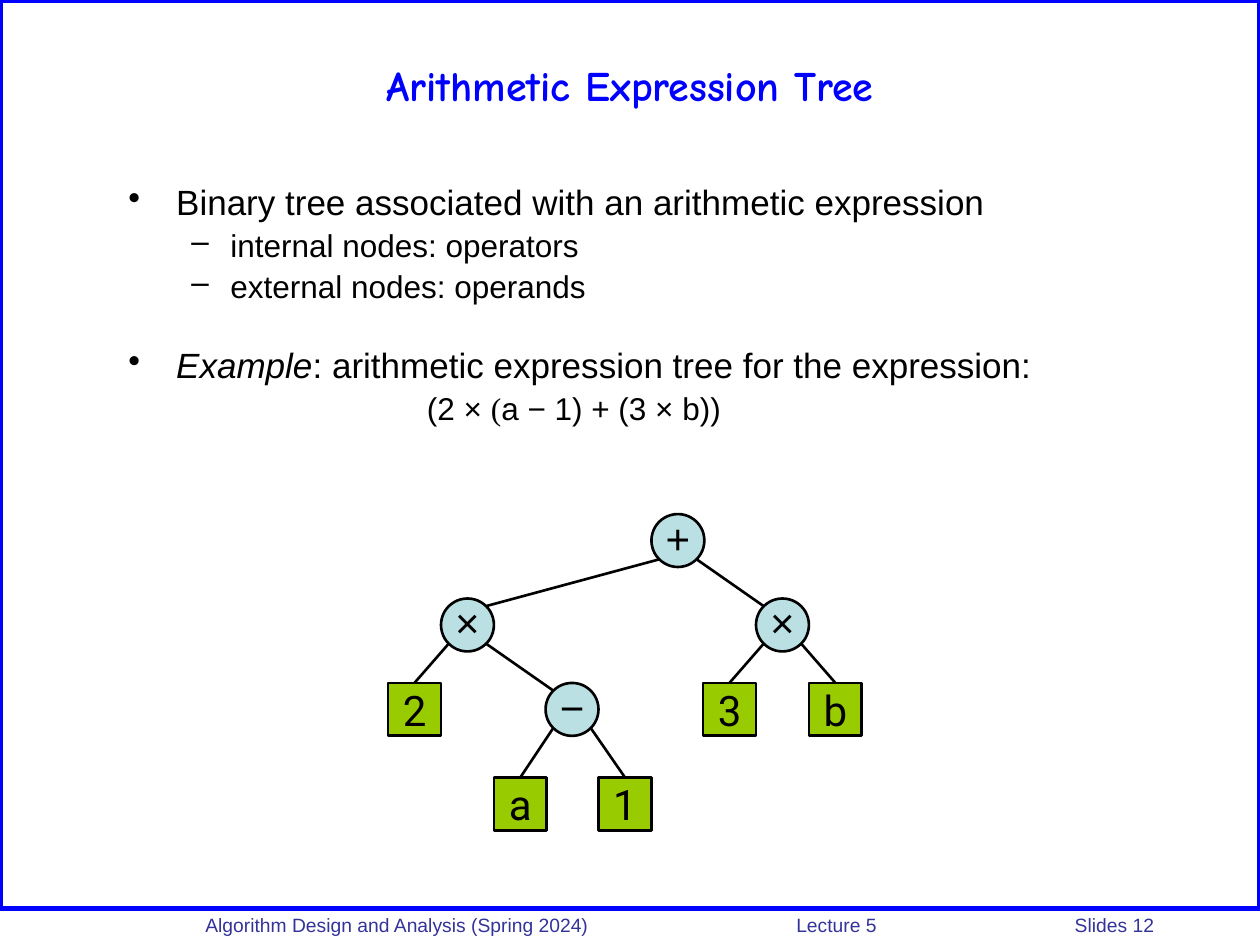
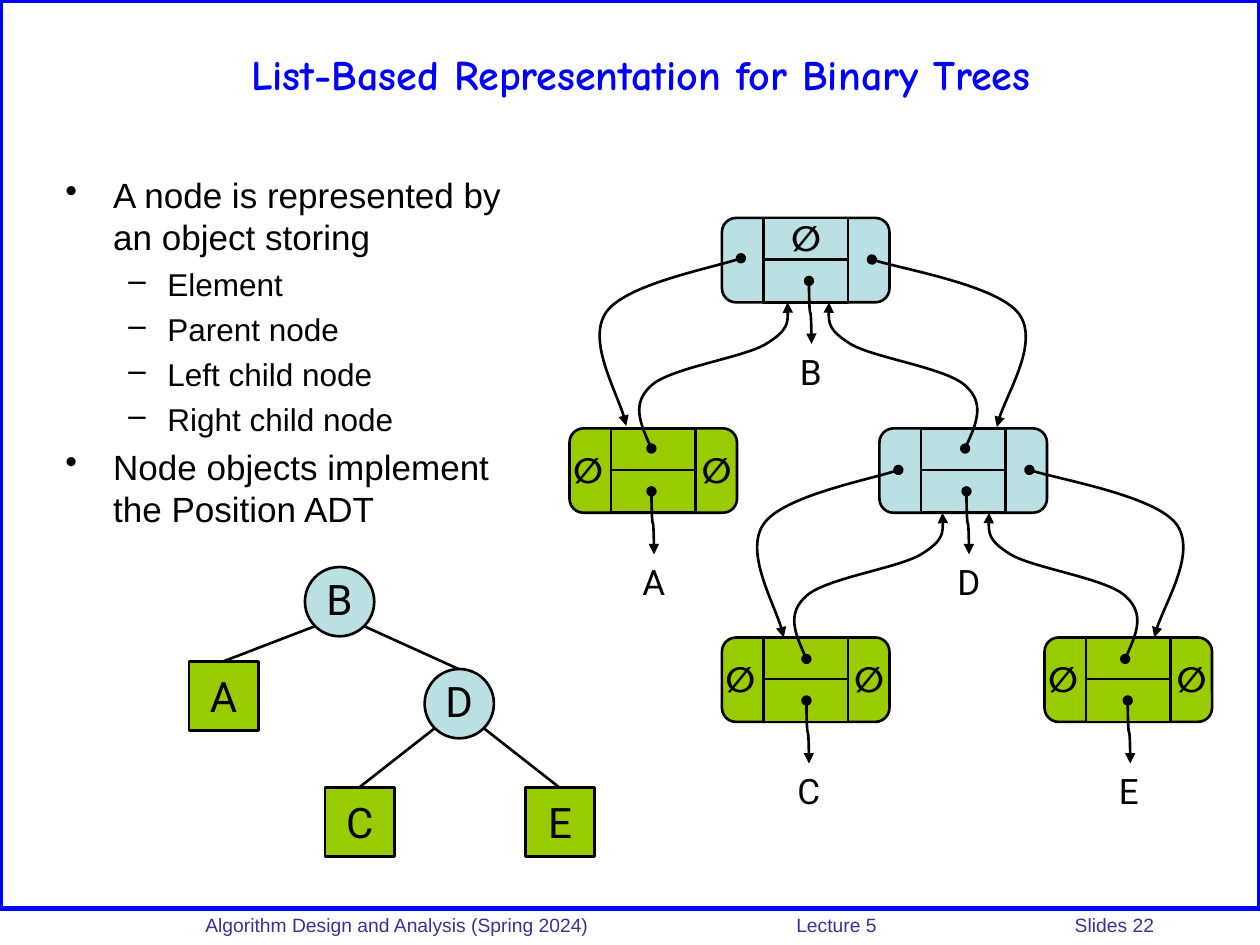
from pptx import Presentation
from pptx.dml.color import RGBColor
from pptx.enum.shapes import MSO_CONNECTOR, MSO_SHAPE
from pptx.enum.text import MSO_ANCHOR, PP_ALIGN
from pptx.oxml.ns import qn
from pptx.util import Pt
from lxml import etree

PX = 9144
BLUE = RGBColor(0x00, 0x00, 0xFF)
INDIGO = RGBColor(0x33, 0x33, 0x99)
BLACK = RGBColor(0x00, 0x00, 0x00)
AQUA = RGBColor(0xBB, 0xE0, 0xE3)
GREEN = RGBColor(0x99, 0xCC, 0x00)

ARIAL, COMIC, ROBOTO, TIMES = "Arial", "Comic Neue", "Roboto", "Times New Roman"
RECT, ROUND, OVAL = MSO_SHAPE.RECTANGLE, MSO_SHAPE.ROUNDED_RECTANGLE, MSO_SHAPE.OVAL
STRAIGHT, CURVE = MSO_CONNECTOR.STRAIGHT, MSO_CONNECTOR.CURVE
CENTER, LEFT = PP_ALIGN.CENTER, PP_ALIGN.LEFT
MIDDLE, TOP = MSO_ANCHOR.MIDDLE, MSO_ANCHOR.TOP

BULLETS = {0: ("•", 20, 38, -38), 1: ("–", 18, 81, -31)}
NODE_WIDTH, NODE_HEIGHT, CELL = 133, 67, 33
PARENT_LINK = [(0, 0), (-8, -18), (-16, -36), (0, -50), (15, -64), (73, -72),
               (91, -83), (109, -94), (109, -105), (108, -116)]
CHILD_LINK = [(0, 0), (19, 7), (92, 21), (107, 43), (122, 65), (94, 114), (91, 133)]


class Lecture:
    def __init__(self):
        self.deck = Presentation()
        self.deck.slide_width, self.deck.slide_height = 1000 * PX, 750 * PX
        self.shapes = None

    def page(self, title, number, title_box):
        self.shapes = self.deck.slides.add_slide(self.deck.slide_layouts[6]).shapes
        self.shape(RECT, 0, 0, 1000, 721, None, BLUE, 3)
        footer = f"Algorithm Design and Analysis (Spring 2024)\tLecture 5\tSlides {number}"
        frame = self.text(footer, 133, 720, 867, 26, 11, ARIAL, INDIGO, align=LEFT)
        frame.margin_left = 30 * PX
        tabs = etree.SubElement(frame.paragraphs[0]._p.get_or_add_pPr(), qn("a:tabLst"))
        for stop in (469, 690):
            etree.SubElement(tabs, qn("a:tab"), pos=str(stop * PX), algn="l")
        frame.word_wrap = True
        frame = self.text(title, *title_box, 24, COMIC, BLUE, bold=True, anchor=MIDDLE)
        frame.word_wrap = True

    def style(self, span, size, font, color=BLACK, bold=False, italic=False):
        span.font.size, span.font.name = Pt(size), font
        span.font.bold, span.font.italic = bold, italic
        span.font.color.rgb = color

    def fill_frame(self, frame, text, size, font, color=BLACK, bold=False,
                   align=CENTER, anchor=TOP):
        frame.text = text
        frame.word_wrap = False
        frame.vertical_anchor = anchor
        para = frame.paragraphs[0]
        para.alignment = align
        self.style(para.runs[0], size, font, color, bold)

    def text(self, text, x, y, width, height, size, font, color=BLACK, **options):
        box = self.shapes.add_textbox(x * PX, y * PX, width * PX, height * PX)
        self.fill_frame(box.text_frame, text, size, font, color, **options)
        return box.text_frame

    def bullets(self, x, y, width, height, items, line_spacing=1.0):
        frame = self.shapes.add_textbox(x * PX, y * PX, width * PX, height * PX).text_frame
        frame.word_wrap = True
        for index, (level, text) in enumerate(items):
            para = frame.add_paragraph() if index else frame.paragraphs[0]
            mark, size, margin, indent = BULLETS[level]
            properties = para._p.get_or_add_pPr()
            properties.set("marL", str(margin * PX))
            properties.set("indent", str(indent * PX))
            etree.SubElement(properties, qn("a:buChar"), char=mark)
            para.line_spacing = line_spacing
            para.space_before = Pt(round(0.23 * size, 1) if index else 0)
            para.text = text
            self.style(para.runs[0], size, ARIAL)
        return frame

    def shape(self, kind, x, y, width, height, fill, line=BLACK, weight=1.5):
        shape = self.shapes.add_shape(kind, x * PX, y * PX, width * PX, height * PX)
        shape.shadow.inherit = False
        if fill is None:
            shape.fill.background()
        else:
            shape.fill.solid()
            shape.fill.fore_color.rgb = fill
        shape.line.color.rgb, shape.line.width = line, Pt(weight)
        return shape

    def connector(self, kind, x1, y1, x2, y2):
        line = self.shapes.add_connector(kind, x1 * PX, y1 * PX, x2 * PX, y2 * PX)
        line.line.color.rgb, line.line.width = BLACK, Pt(1.5)
        etree.SubElement(line._element.spPr, qn("a:effectLst"))
        return line

    def pointer_ends(self, shape):
        outline = shape.line._get_or_add_ln()
        etree.SubElement(outline, qn("a:headEnd"), type="oval")
        etree.SubElement(outline, qn("a:tailEnd"), type="triangle")

    def pointer(self, x, y, offsets, stretch):
        points = [(round((x + dx * stretch) * PX), (y + dy) * PX) for dx, dy in offsets]
        builder = self.shapes.build_freeform(*points[0], scale=1.0)
        builder.add_line_segments(points[1:], close=False)
        shape = builder.convert_to_shape()
        outline = shape._element.xpath(".//a:path")[0]
        segments = outline.findall(qn("a:lnTo"))
        for start in range(0, len(segments), 3):
            bezier = etree.SubElement(outline, qn("a:cubicBezTo"))
            for segment in segments[start:start + 3]:
                bezier.append(segment[0])
                outline.remove(segment)
        shape.shadow.inherit = False
        shape.fill.background()
        shape.line.color.rgb, shape.line.width = BLACK, Pt(1.5)
        self.pointer_ends(shape)

    def tree(self, size, nodes, corner_joins):
        inset = round(size * 0.146)
        parents = {parent for parent, x, y, text in nodes}
        for index, (parent, x, y, text) in enumerate(nodes):
            inner = index in parents
            shape = self.shape(OVAL if inner else RECT, x, y, size, size,
                               AQUA if inner else GREEN)
            frame = shape.text_frame
            self.fill_frame(frame, text, 24, ROBOTO if text.isalnum() else ARIAL, anchor=MIDDLE)
            if inner:
                frame.margin_left = frame.margin_right = frame.margin_top = 0
                frame.margin_bottom = 5 * PX
            if parent is None:
                continue
            parent_x, parent_y = nodes[parent][1:3]
            on_left = x < parent_x
            start_x = parent_x + (inset if on_left else size - inset)
            end_x, end_y = x + size // 2, y
            if inner and corner_joins:
                end_x = x + (size - inset if on_left else inset)
                end_y = y + inset
            self.connector(STRAIGHT, start_x, parent_y + size - inset, end_x, end_y)

    def empty_mark(self, x, y):
        self.text("∅", x, y, 43, 43, 20, ROBOTO, bold=True)

    def list_node(self, x, y, fill, element, pointer_x):
        box = self.shape(ROUND, x, y, NODE_WIDTH, NODE_HEIGHT, fill)
        box.adjustments[0] = 0.167
        self.shape(RECT, x + CELL, y, NODE_HEIGHT, NODE_HEIGHT, fill)
        self.connector(STRAIGHT, x + CELL, y + CELL, x + CELL + NODE_HEIGHT, y + CELL)
        if fill == GREEN:
            self.empty_mark(x - 7, y + 11)
            self.empty_mark(x + 95, y + 11)
        center_x, center_y = x + pointer_x + 1, y + 75
        self.text(element, center_x - 18, y + 100, 36, 43, 20, ROBOTO)
        line = self.connector(CURVE, center_x + 25, center_y - 1, center_x - 25, center_y + 1)
        line._element.spPr.find(qn("a:xfrm")).set("rot", "16200000")
        self.pointer_ends(line)


def expression_slide(lecture):
    lecture.page("Arithmetic Expression Tree", 12, (50, 17, 900, 100))
    frame = lecture.bullets(92, 142, 850, 208, [
        (0, "Binary tree associated with an arithmetic expression"),
        (1, "internal nodes: operators"),
        (1, "external nodes: operands"),
        (0, "Example"),
    ], line_spacing=0.9)
    example = frame.paragraphs[-1]
    example.space_before = Pt(24.6)
    example.runs[0].font.italic = True
    span = example.add_run()
    span.text = ": arithmetic expression tree for the expression:"
    lecture.style(span, 20, ARIAL)
    formula = frame.add_paragraph()
    formula._p.get_or_add_pPr().set("marL", str(237 * PX))
    formula.line_spacing, formula.space_before = 0.9, Pt(4.1)
    for text, font in (("(2 × ", ARIAL), ("(", TIMES), ("a − 1) + (3 × b))", ARIAL)):
        span = formula.add_run()
        span.text = text
        lecture.style(span, 18, font)
    lecture.tree(42, [
        (None, 517, 408, "+"),
        (0, 350, 475, "×"),
        (0, 600, 475, "×"),
        (1, 308, 542, "2"),
        (1, 433, 542, "−"),
        (4, 392, 617, "a"),
        (4, 475, 617, "1"),
        (2, 558, 542, "3"),
        (2, 642, 542, "b"),
    ], corner_joins=True)


def linked_slide(lecture):
    lecture.page("List-Based Representation for Binary Trees", 22, (67, 17, 883, 83))
    lecture.bullets(42, 133, 375, 317, [
        (0, "A node is represented by an object storing"),
        (1, "Element"),
        (1, "Parent node"),
        (1, "Left child node"),
        (1, "Right child node"),
        (0, "Node objects implement the Position ADT"),
    ])
    lecture.tree(55, [
        (None, 242, 450, "B"),
        (0, 150, 525, "A"),
        (0, 337, 531, "D"),
        (2, 258, 625, "C"),
        (2, 417, 625, "E"),
    ], corner_joins=False)
    for x, y, fill, element, pointer_x in (
        (573, 173, AQUA, "B", 69),
        (452, 340, GREEN, "A", 65),
        (698, 340, AQUA, "D", 69),
        (573, 506, GREEN, "C", 67),
        (829, 506, GREEN, "E", 66),
    ):
        lecture.list_node(x, y, fill, element, pointer_x)
    lecture.empty_mark(618, 167)
    for x, y, stretch in ((517, 356, 1), (766, 356, -1), (893, 523, -1), (640, 523, 1)):
        lecture.pointer(x, y, PARENT_LINK, stretch)
    for x, y, stretch in ((588, 205, -1), (692, 206, 1.09), (817, 373, 1.09), (713, 373, -1)):
        lecture.pointer(x, y, CHILD_LINK, stretch)


def main():
    lecture = Lecture()
    expression_slide(lecture)
    linked_slide(lecture)
    lecture.deck.save("out.pptx")


if __name__ == "__main__":
    main()
